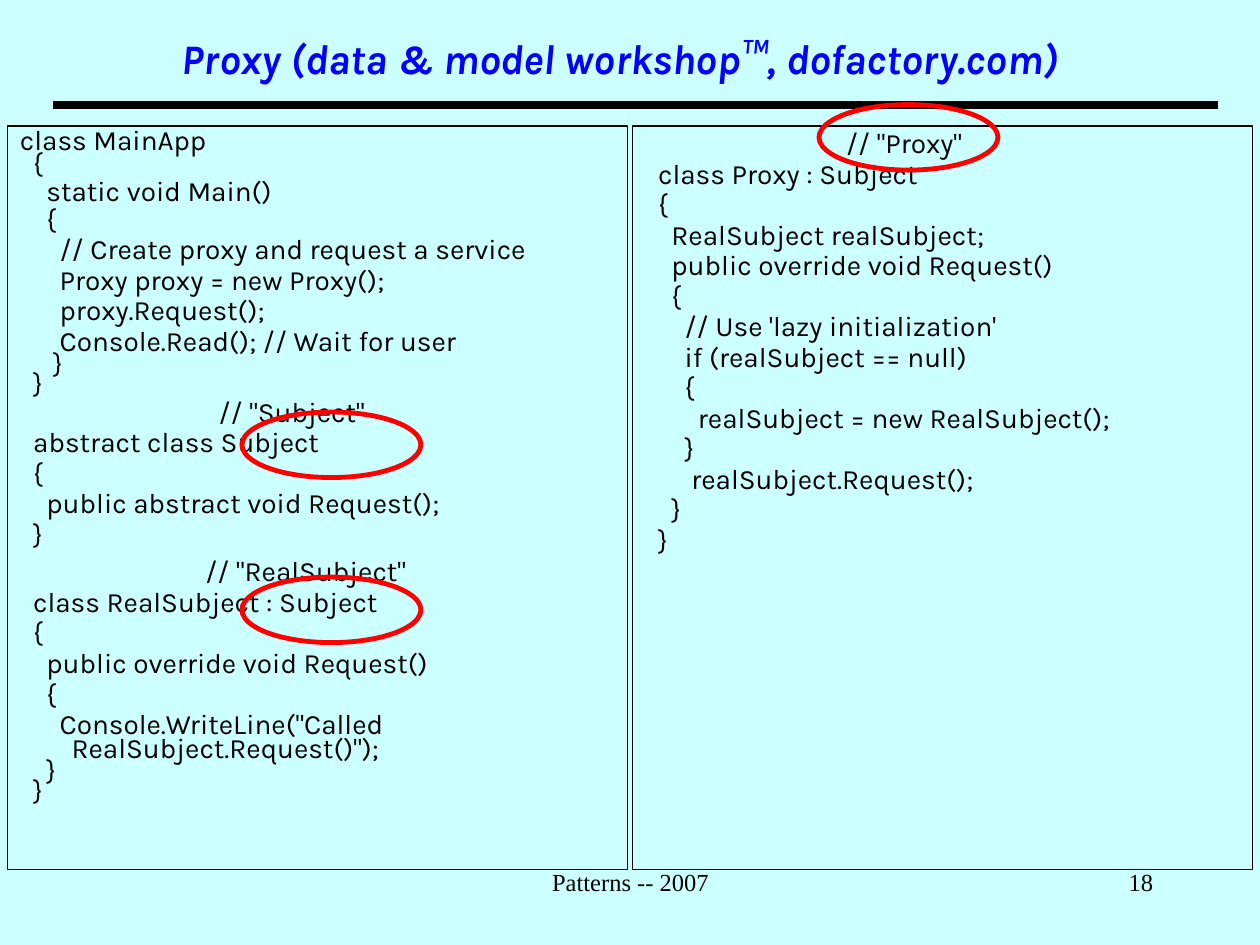
from typing import NamedTuple

from pptx import Presentation
from pptx import util as u
from pptx.dml.color import RGBColor
from pptx.enum import shapes, text
from pptx.oxml.ns import qn
from lxml import etree

BLACK = RGBColor(0x00, 0x00, 0x00)
BLUE = RGBColor(0x00, 0x00, 0xFF)
RED = RGBColor(0xFF, 0x00, 0x00)
PALE_CYAN = RGBColor(0xCC, 0xFF, 0xFF)

PANEL_TOP, PANEL_WIDTH, PANEL_HEIGHT = 1, 4.92, 5.9
RING_WIDTH, RING_HEIGHT = 1.42, 0.52
HANGING = u.Inches(0.41)


class Style(NamedTuple):
    font: str
    size: float
    color: RGBColor = BLACK
    bold: bool = False
    italic: bool = False


class Label(NamedTuple):
    content: str
    left: float
    top: float
    width: float
    height: float
    style: Style
    alignment: text.PP_ALIGN
    anchor: text.MSO_ANCHOR = text.MSO_ANCHOR.TOP


class CodeLine(NamedTuple):
    content: str
    spacing: float = 0.7
    before: float = 4
    wide_indent: str = ""


CODE = Style("Karla", 16)
WIDE = Style("Arial", 18)
TITLE = Style("Karla", 24, BLUE, bold=True, italic=True)
FOOTER = Style("Times New Roman", 14)

LABELS = [
    Label("Proxy (data & model workshop™, dofactory.com)", 0.67, 0, 8.5, 0.92,
          TITLE, text.PP_ALIGN.CENTER, text.MSO_ANCHOR.MIDDLE),
    Label("Patterns -- 2007", 3.42, 6.83, 3.17, 0.5, FOOTER, text.PP_ALIGN.CENTER),
    Label("18", 7.17, 6.83, 2.08, 0.5, FOOTER, text.PP_ALIGN.RIGHT),
]

PROXY_CODE = [
    CodeLine('// "Proxy"', before=0, wide_indent="                       "),
    CodeLine("  class Proxy : Subject"),
    CodeLine("  {"),
    CodeLine("    RealSubject realSubject;"),
    CodeLine("    public override void Request()"),
    CodeLine("    {"),
    CodeLine("      // Use 'lazy initialization'"),
    CodeLine("      if (realSubject == null)"),
    CodeLine("      {"),
    CodeLine("        realSubject = new RealSubject();"),
    CodeLine("      }"),
    CodeLine("       realSubject.Request();"),
    CodeLine("    }"),
    CodeLine("  }"),
]

MAIN_CODE = [
    CodeLine("class MainApp", before=0),
    CodeLine("  {", 0.4),
    CodeLine("    static void Main()"),
    CodeLine("    {", 0.6),
    CodeLine("      // Create proxy and request a service"),
    CodeLine("      Proxy proxy = new Proxy();"),
    CodeLine("      proxy.Request();"),
    CodeLine("      Console.Read(); // Wait for user"),
    CodeLine("     }", 0.4),
    CodeLine("  }", 0.4),
    CodeLine('                              // "Subject"'),
    CodeLine("  abstract class Subject"),
    CodeLine("  {"),
    CodeLine("    public abstract void Request();"),
    CodeLine("  }"),
    CodeLine('                            // "RealSubject"', before=8),
    CodeLine("  class RealSubject : Subject"),
    CodeLine("  {"),
    CodeLine("    public override void Request()"),
    CodeLine("    {"),
    CodeLine('      Console.WriteLine("Called RealSubject.Request()");'),
    CodeLine("    }", 0.4),
    CodeLine("  }", 0.4),
]

PANELS = [(5.02, PROXY_CODE), (0.06, MAIN_CODE)]
RINGS = [(1.92, 3.27), (1.92, 4.58), (6.5, 0.83)]


def add_run(paragraph, content: str, style: Style) -> None:
    run = paragraph.add_run()
    run.text = content
    font = run.font
    font.name, font.size = style.font, u.Pt(style.size)
    font.bold, font.italic = style.bold, style.italic
    font.color.rgb = style.color


def add_label(slide, label: Label) -> None:
    box = slide.shapes.add_textbox(u.Inches(label.left), u.Inches(label.top),
                                   u.Inches(label.width), u.Inches(label.height))
    frame = box.text_frame
    frame.word_wrap = True
    frame.vertical_anchor = label.anchor
    paragraph = frame.paragraphs[0]
    paragraph.alignment = label.alignment
    add_run(paragraph, label.content, label.style)


def add_outline(slide, kind: shapes.MSO_SHAPE, left: float, top: float,
                width: float, height: float, color: RGBColor, weight: float):
    """Add an unfilled preset shape and return it."""
    shape = slide.shapes.add_shape(kind, u.Inches(left), u.Inches(top),
                                   u.Inches(width), u.Inches(height))
    shape.shadow.inherit = False
    shape.fill.background()
    shape.line.color.rgb = color
    shape.line.width = u.Pt(weight)
    return shape


def add_code_panel(slide, left: float, lines: list[CodeLine]) -> None:
    panel = add_outline(slide, shapes.MSO_SHAPE.RECTANGLE, left, PANEL_TOP,
                        PANEL_WIDTH, PANEL_HEIGHT, BLACK, 0.75)
    frame = panel.text_frame
    frame.word_wrap = True
    frame.vertical_anchor = text.MSO_ANCHOR.TOP
    for index, line in enumerate(lines):
        paragraph = frame.add_paragraph() if index else frame.paragraphs[0]
        paragraph.alignment = text.PP_ALIGN.LEFT
        paragraph.line_spacing = line.spacing
        paragraph.space_before = u.Pt(line.before)
        properties = paragraph._p.get_or_add_pPr()
        properties.set("marL", str(HANGING))
        properties.set("indent", str(-HANGING))
        if line.wide_indent:
            add_run(paragraph, line.wide_indent, WIDE)
        add_run(paragraph, line.content, CODE)


def add_title_rule(slide) -> None:
    rule = slide.shapes.add_connector(shapes.MSO_CONNECTOR.STRAIGHT, u.Inches(0.42),
                                      u.Inches(0.83), u.Inches(9.67), u.Inches(0.83))
    rule.line.color.rgb = BLACK
    rule.line.width = u.Pt(4.5)
    etree.SubElement(rule._element.spPr, qn("a:effectLst"))


def main() -> None:
    presentation = Presentation()
    presentation.slide_width, presentation.slide_height = u.Inches(10), u.Inches(7.5)
    slide = presentation.slides.add_slide(presentation.slide_layouts[6])
    slide.background.fill.solid()
    slide.background.fill.fore_color.rgb = PALE_CYAN

    add_title_rule(slide)
    for left, lines in PANELS:
        add_code_panel(slide, left, lines)
    for left, top in RINGS:
        add_outline(slide, shapes.MSO_SHAPE.OVAL, left, top,
                    RING_WIDTH, RING_HEIGHT, RED, 2.75)
    for label in LABELS:
        add_label(slide, label)
    presentation.save("out.pptx")


if __name__ == "__main__":
    main()
